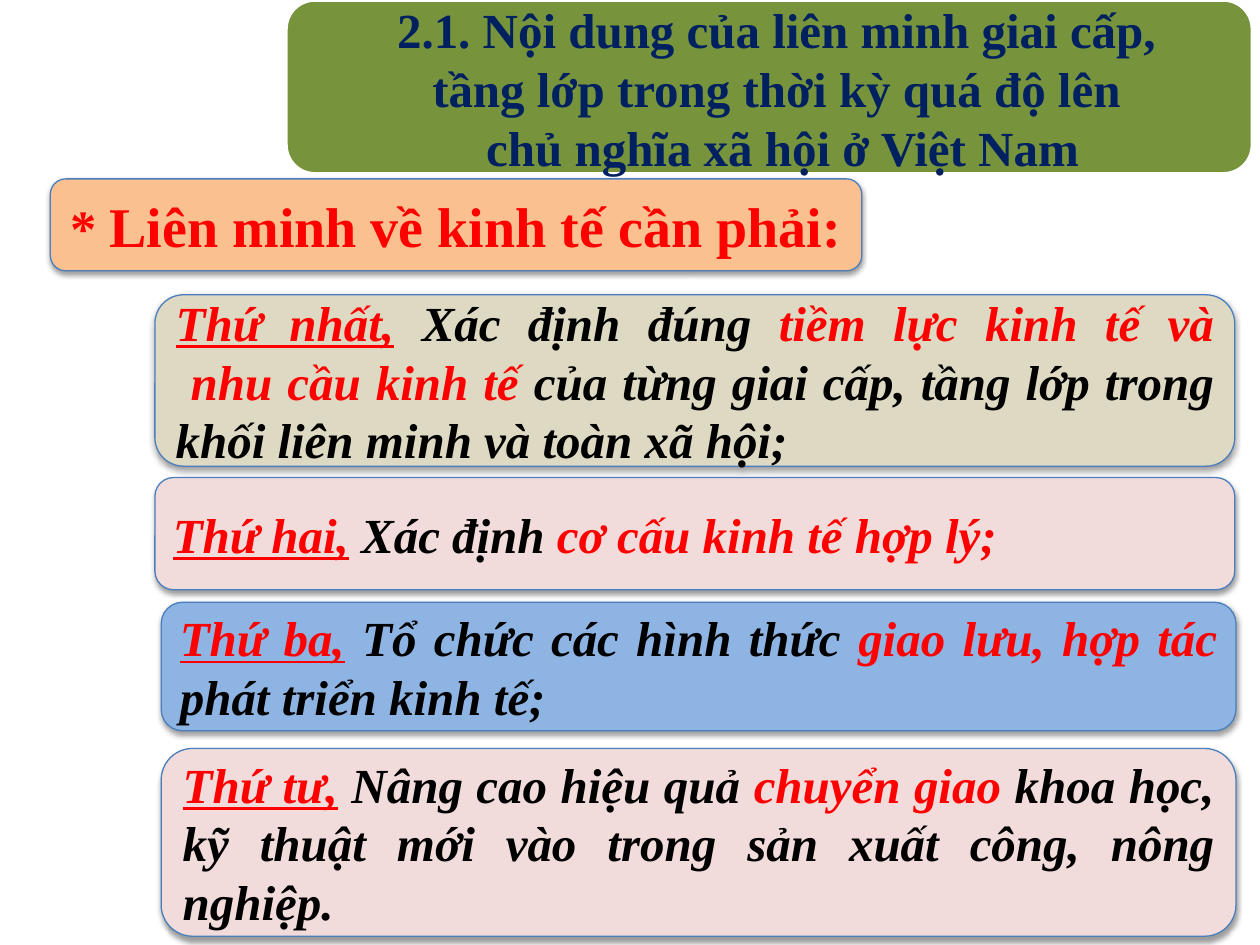
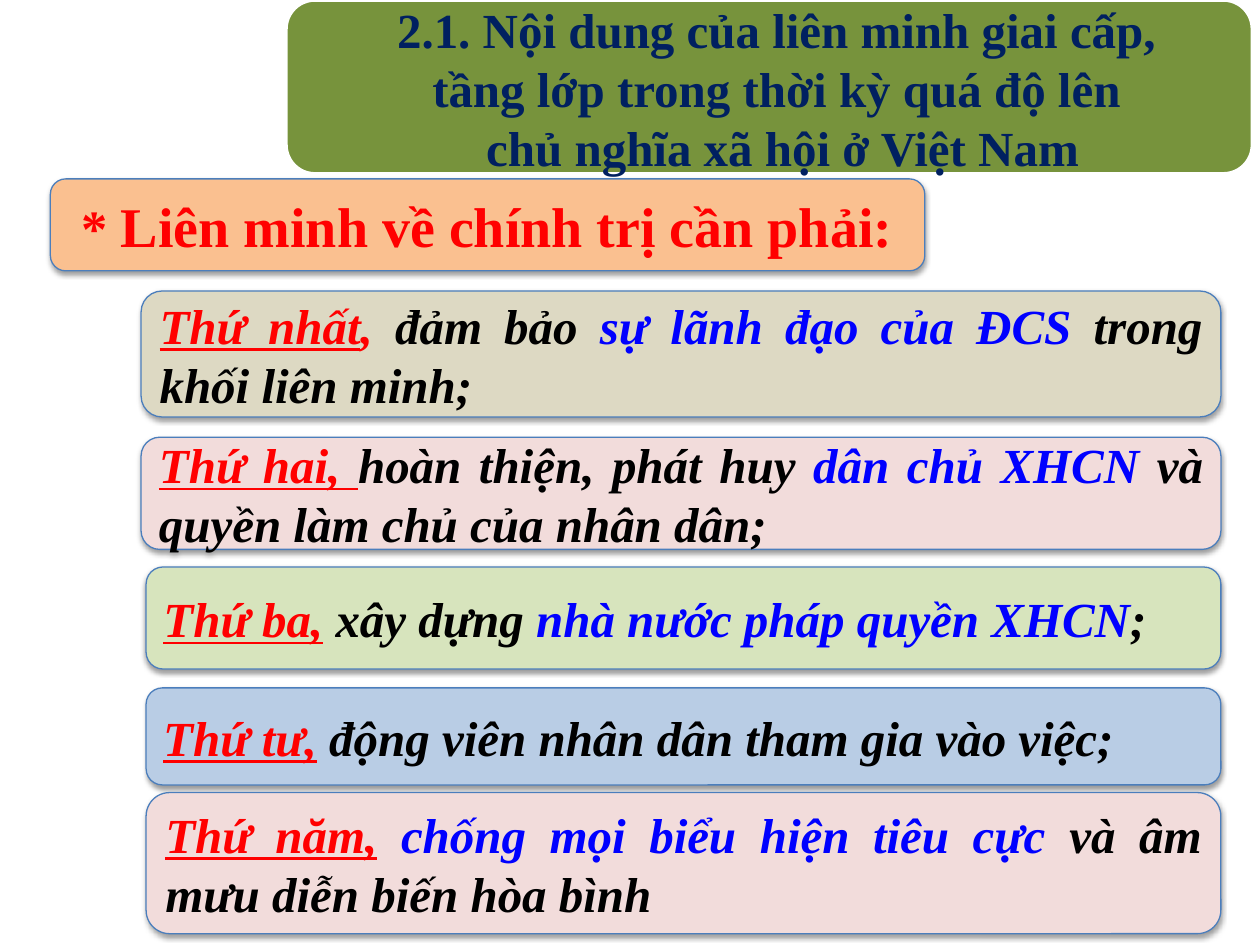
from dataclasses import dataclass

from lxml import etree
from pptx import Presentation
from pptx import util as u
from pptx.dml.color import RGBColor
from pptx.enum import shapes, text
from pptx.oxml.ns import qn

COLS, ROWS = 100, 75
CENTER, JUSTIFY = text.PP_ALIGN.CENTER, text.PP_ALIGN.JUSTIFY


@dataclass(frozen=True)
class Theme:
    face: str = "Times New Roman"
    body: int = 28
    star: int = 30
    head: int = 32
    red: str = "FF0000"
    blue: str = "0000FF"
    ink: str = "000000"
    navy: str = "002060"
    olive: str = "77933C"
    peach: str = "FAC090"
    sand: str = "DDD9C3"
    rose: str = "F2DCDB"
    sky: str = "8EB4E3"
    lime: str = "D7E4BD"
    mist: str = "B9CDE5"
    edge: str = "4B7EBC"
    white: str = "FFFFFF"


T = Theme()
TITLE = dict(size=T.body, color=T.navy)
STAR = dict(size=T.star, color=T.red)
HEAD = dict(size=T.head, color=T.red)
INK = dict(size=T.body, color=T.ink, italic=True)
RED = {**INK, "color": T.red}
BLUE = {**INK, "color": T.blue}
LEAD = {**RED, "underline": True}


class Deck:
    def __init__(self):
        self.prs = Presentation()
        self.prs.slide_width, self.prs.slide_height = u.Inches(10), u.Inches(7.5)
        self.slide = None

    def page(self):
        self.slide = self.prs.slides.add_slide(self.prs.slide_layouts[6])

    def place(self, x, y, w, h):
        """Turn grid columns and rows into slide lengths."""
        col, row = self.prs.slide_width / COLS, self.prs.slide_height / ROWS
        return [round(v) for v in (x * col, y * row, w * col, h * row)]

    def panel(self, box, fill, edge, width, shade=True):
        shape = self.slide.shapes.add_shape(
            shapes.MSO_SHAPE.ROUNDED_RECTANGLE, *self.place(*box))
        shape.fill.solid()
        shape.fill.fore_color.rgb = RGBColor.from_string(fill)
        shape.line.color.rgb = RGBColor.from_string(edge)
        shape.line.width = u.Pt(width)
        shape.shadow.inherit = False
        if shade:
            self.shade(shape)
        return shape

    def shade(self, shape):
        """Add a soft shadow straight below the shape."""
        glow = etree.SubElement(
            shape._element.spPr.find(qn("a:effectLst")), qn("a:outerShdw"),
            blurRad=str(u.Pt(3.1)), dist=str(u.Pt(1.6)), dir="5400000", rotWithShape="0")
        tint = etree.SubElement(glow, qn("a:srgbClr"), val=T.ink)
        etree.SubElement(tint, qn("a:alpha"), val="38000")

    def label(self, shape, lines, align):
        """Fill a shape; each line is a list of (words, format) pairs."""
        frame = shape.text_frame
        frame.word_wrap = True
        frame.vertical_anchor = text.MSO_ANCHOR.MIDDLE
        for i, line in enumerate(lines):
            para = frame.paragraphs[0] if i == 0 else frame.add_paragraph()
            para.alignment = align
            for words, style in line:
                for j, part in enumerate(words.split("\n")):
                    if j:
                        para.add_line_break()
                    self.phrase(para, part, style)

    def phrase(self, para, words, style):
        run = para.add_run()
        run.text = words
        form = {"name": T.face, "bold": True, **style}
        run.font.color.rgb = RGBColor.from_string(form.pop("color"))
        form["size"] = u.Pt(form["size"])
        for key, val in form.items():
            setattr(run.font, key, val)

    def title(self, lines):
        self.panel((22.7, 0, 76.7, 13.8), T.olive, T.white, 2, shade=False)
        box = self.slide.shapes.add_textbox(*self.place(24.2, 0.7, 75.8, 12.5))
        pads = dict(margin_left=0.24, margin_right=0.24, margin_top=0, margin_bottom=0)
        for side, pad in pads.items():
            setattr(box.text_frame, side, u.Inches(pad))
        self.label(box, [[(line, TITLE)] for line in lines], CENTER)

    def head(self, words, width):
        shape = self.panel((4, 14.2, width, 7.3), T.peach, T.edge, 0.75)
        self.label(shape, [[("* ", STAR), (words, HEAD)]], CENTER)

    def point(self, x, y, w, h, fill, runs):
        shape = self.panel((x, y, w, h), fill, T.edge, 0.75)
        self.label(shape, [runs], JUSTIFY)


NAME = [
    "2.1. Nội dung của liên minh giai cấp, ",
    "tầng lớp trong thời kỳ quá độ lên ",
    "chủ nghĩa xã hội ở Việt Nam",
]

# Each page: heading, heading width, then points as (x, y, w, h, fill, runs)
PAGES = [
    ("Liên minh về kinh tế cần phải:", 64.4, [
        (12.3, 23.4, 85.7, 13.6, T.sand, [
            ("Thứ nhất,", LEAD), (" ", RED), ("Xác định đúng ", INK),
            ("tiềm lực kinh tế và\n nhu cầu kinh tế ", RED),
            ("của từng giai cấp, tầng lớp trong khối liên minh và toàn xã hội; ", INK)]),
        (12.3, 37.9, 85.7, 8.9, T.rose, [
            ("Thứ hai,", LEAD), (" ", RED), ("Xác định ", INK),
            ("cơ cấu kinh tế hợp lý;", RED)]),
        (12.8, 47.8, 85.3, 10.2, T.sky, [
            ("Thứ ba,", LEAD), (" Tổ chức các hình thức ", INK),
            ("giao lưu, hợp tác ", RED), ("phát triển kinh tế;", INK)]),
        (12.8, 59.4, 85.3, 14.9, T.rose, [
            ("Thứ tư,", LEAD), (" ", RED), ("Nâng cao hiệu quả ", INK),
            ("chuyển giao ", RED),
            ("khoa học, kỹ thuật mới vào trong sản xuất công, nông nghiệp.", INK)]),
    ]),
    ("Liên minh về chính trị cần phải:", 69.4, [
        (11.2, 23.1, 85.7, 10, T.sand, [
            ("Thứ nhất", LEAD), (",", RED), (" đảm bảo ", INK),
            ("sự lãnh đạo của ĐCS ", BLUE), ("trong khối liên minh; ", INK)]),
        (11.2, 34.7, 85.7, 8.9, T.rose, [
            ("Thứ hai, ", LEAD), ("hoàn thiện, phát huy ", INK),
            ("dân chủ XHCN ", BLUE), ("và quyền làm chủ của nhân dân;", INK)]),
        (11.6, 45, 85.3, 8.1, T.lime, [
            ("Thứ ba,", LEAD), (" ", RED), ("xây dựng ", INK),
            ("nhà nước pháp quyền XHCN", BLUE), (";", INK)]),
        (11.6, 54.6, 85.3, 7.7, T.mist, [
            ("Thứ tư,", LEAD), (" ", RED),
            ("động viên nhân dân tham gia vào việc;", INK)]),
        (11.6, 62.9, 85.3, 11.2, T.rose, [
            ("Thứ năm,", LEAD), (" ", RED),
            ("chống mọi biểu hiện tiêu cực ", BLUE),
            ("và âm mưu diễn biến hòa bình ", INK)]),
    ]),
]


def main():
    deck = Deck()
    for words, width, points in PAGES:
        deck.page()
        deck.head(words, width)
        for point in points:
            deck.point(*point)
        deck.title(NAME)
    deck.prs.save("out.pptx")


if __name__ == "__main__":
    main()
